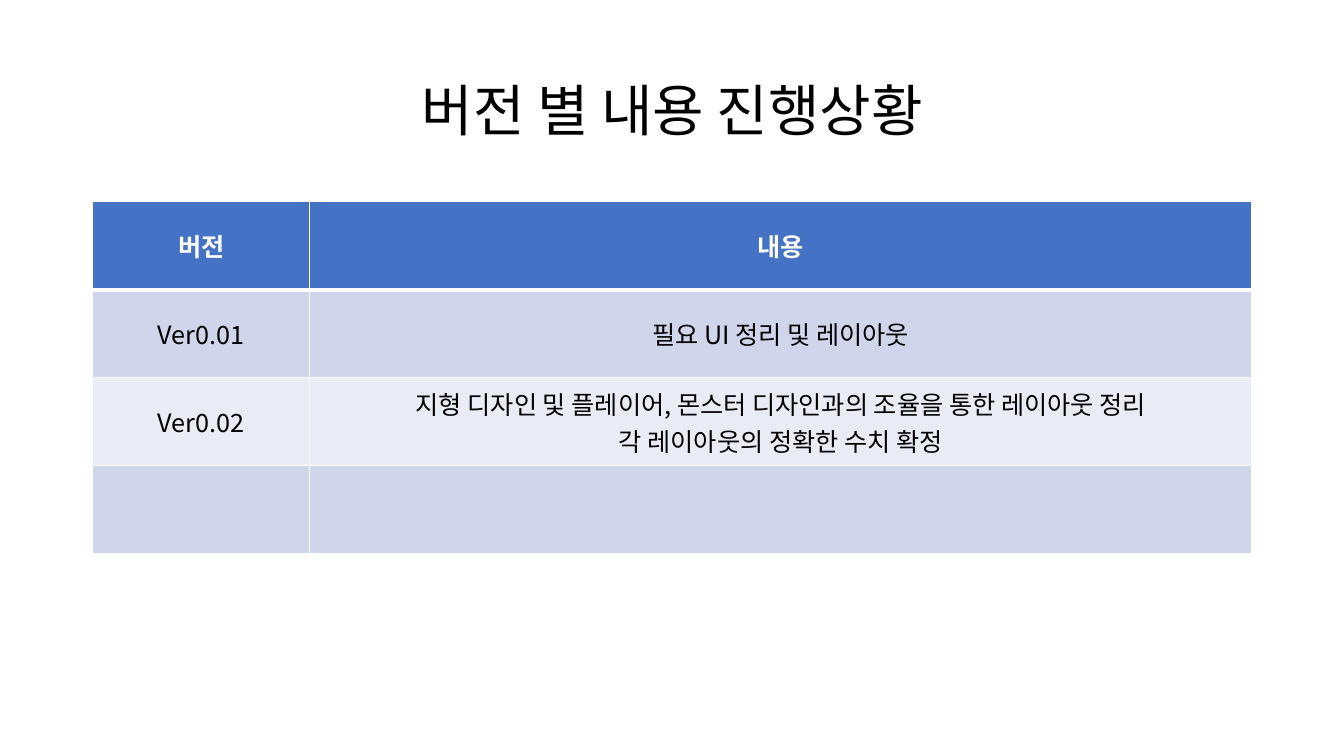
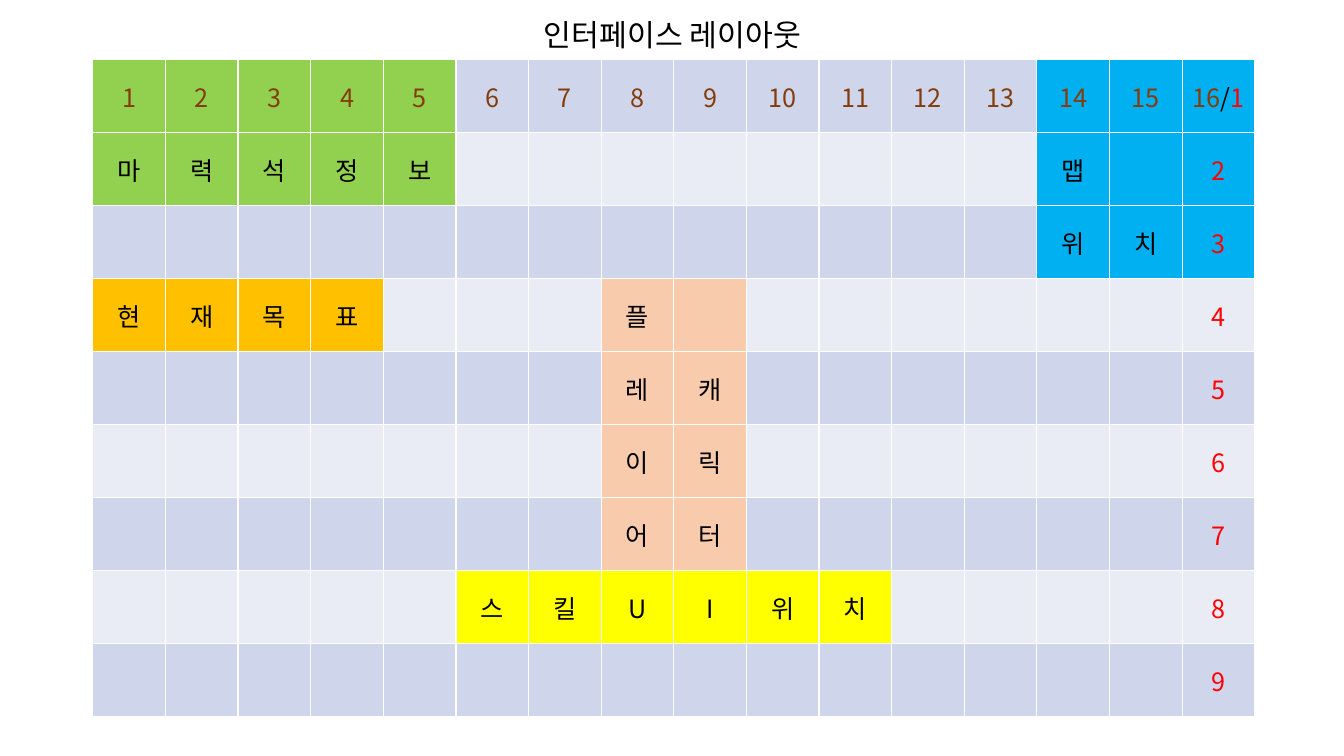
"""Build a version progress slide and an interface layout slide."""
from pptx import Presentation
from pptx.dml.color import RGBColor
from pptx.enum.text import MSO_ANCHOR as Anchor, PP_ALIGN as Align
from pptx.oxml.ns import qn
from pptx.oxml.xmlchemy import OxmlElement
from pptx.util import Cm, Pt

FONT = "Noto Sans CJK KR"
COLORS = {
    "black": "000000", "white": "FFFFFF", "red": "FF0000", "brown": "843C0B",
    "header": "4472C4", "band_dark": "CFD5EA", "band_light": "E9EBF5",
    "green": "92D050", "blue": "00B0F0", "orange": "FFC000",
    "peach": "F8CBAD", "yellow": "FFFF00",
}
BANDS = ("band_dark", "band_light")
LEFT = 2.34

VERSION_TITLE = "버전 별 내용 진행상황"
VERSIONS = [
    ("버전", "내용"),
    ("Ver0.01", "필요 UI 정리 및 레이아웃"),
    ("Ver0.02", "지형 디자인 및 플레이어, 몬스터 디자인과의 조율을 통한 레이아웃 정리\v"
                "각 레이아웃의 정확한 수치 확정"),
    ("", ""),
]
VERSION_COLS = [5.46, 23.75]
VERSION_ROW = 2.22

LAYOUT_TITLE = "인터페이스 레이아웃"
GRID_COLS, GRID_ROWS = 16, 9
CELL_W, CELL_H = 1.83, 1.84
# fill, top row, left column, width, letters by row
REGIONS = [
    ("green", 0, 0, 5, ["", "마력석정보"]),
    ("blue", 0, 13, 3, ["", "맵", "위치"]),
    ("orange", 3, 0, 4, ["현재목표"]),
    ("peach", 3, 7, 2, ["플", "레캐", "이릭", "어터"]),
    ("yellow", 7, 5, 6, ["스킬UI위치"]),
]


def rgb(name):
    return RGBColor.from_string(COLORS[name])


def style_paragraph(p, size, bold=False):
    p.alignment = Align.CENTER
    p.font.size, p.font.bold, p.font.name = Pt(size), bold, FONT
    ea = OxmlElement("a:ea")
    ea.set("typeface", FONT)
    p.font.name = FONT
    p._p.get_or_add_pPr().find(qn("a:defRPr")).append(ea)


def add_title(s, text, box, size):
    tf = s.shapes.add_textbox(*map(Cm, box)).text_frame
    tf.word_wrap, tf.vertical_anchor = True, Anchor.MIDDLE
    p = tf.paragraphs[0]
    p.text, p.line_spacing = text, 0.9
    style_paragraph(p, size)
    for r in p.runs:
        r.font.color.rgb = rgb("black")


def add_grid(s, top, widths, heights, header=False):
    frame = s.shapes.add_table(len(heights), len(widths), Cm(LEFT), Cm(top),
                               Cm(sum(widths)), Cm(sum(heights)))
    table = frame.table
    table.first_row, table.horz_banding = header, False
    for col, width in zip(table.columns, widths):
        col.width = Cm(width)
    for row, height in zip(table.rows, heights):
        row.height = Cm(height)
    return table


def set_borders(cell, bottom=1, top=1):
    tcPr = cell._tc.get_or_add_tcPr()
    for side, width in (("L", 1), ("R", 1), ("T", top), ("B", bottom)):
        ln = OxmlElement(f"a:ln{side}")
        ln.set("w", str(Pt(width)))
        fill, clr = OxmlElement("a:solidFill"), OxmlElement("a:srgbClr")
        clr.set("val", COLORS["white"])
        fill.append(clr)
        ln.append(fill)
        tcPr.append(ln)


def fill_cell(cell, fill, parts, bold=False, bottom=1, top=1):
    set_borders(cell, bottom, top)
    cell.fill.solid()
    cell.fill.fore_color.rgb = rgb(fill)
    cell.vertical_anchor = Anchor.MIDDLE
    cell.margin_left = cell.margin_right = Cm(0.1)
    p = cell.text_frame.paragraphs[0]
    style_paragraph(p, 18, bold)
    for text, color in parts:
        for i, line in enumerate(text.split("\v")):
            if i:
                p.add_line_break()
            r = p.add_run()
            r.text = line
            r.font.color.rgb = rgb(color)


def version_slide(s):
    add_title(s, VERSION_TITLE, (LEFT, 1.01, 29.21, 3.68), 40)
    table = add_grid(s, 5.08, VERSION_COLS, [VERSION_ROW] * len(VERSIONS), True)
    for i, row in enumerate(VERSIONS):
        head = i == 0
        fill = "header" if head else BANDS[(i - 1) % 2]
        color = "white" if head else "black"
        for j, text in enumerate(row):
            parts = [(text, color)] if text else []
            fill_cell(table.cell(i, j), fill, parts, head,
                      bottom=3 if head else 1, top=3 if i == 1 else 1)


def layout_slide(s):
    add_title(s, LAYOUT_TITLE, (12.62, 0.36, 8.66, 1.14), 21.6)
    fills, parts = {}, {}
    for fill, top, left, width, lines in REGIONS:
        for i, line in enumerate(lines, top):
            fills.update({(i, left + k): fill for k in range(width)})
            parts.update({(i, j): [(c, "black")] for j, c in enumerate(line, left)})
    last = GRID_COLS - 1
    for j in range(GRID_COLS):
        parts[0, j] = [(str(j + 1), "brown")]
    for i in range(1, GRID_ROWS):
        parts[i, last] = [(str(i + 1), "red")]
    parts[0, last] += [("/", "black"), ("1", "red")]

    table = add_grid(s, 1.5, [CELL_W] * GRID_COLS, [CELL_H] * GRID_ROWS)
    for i in range(GRID_ROWS):
        for j in range(GRID_COLS):
            fill_cell(table.cell(i, j), fills.get((i, j), BANDS[i % 2]),
                      parts.get((i, j), []))


def main():
    prs = Presentation()
    prs.slide_width, prs.slide_height = Cm(33.87), Cm(19.05)
    for build in (version_slide, layout_slide):
        build(prs.slides.add_slide(prs.slide_layouts[6]))
    prs.save("out.pptx")


if __name__ == "__main__":
    main()
